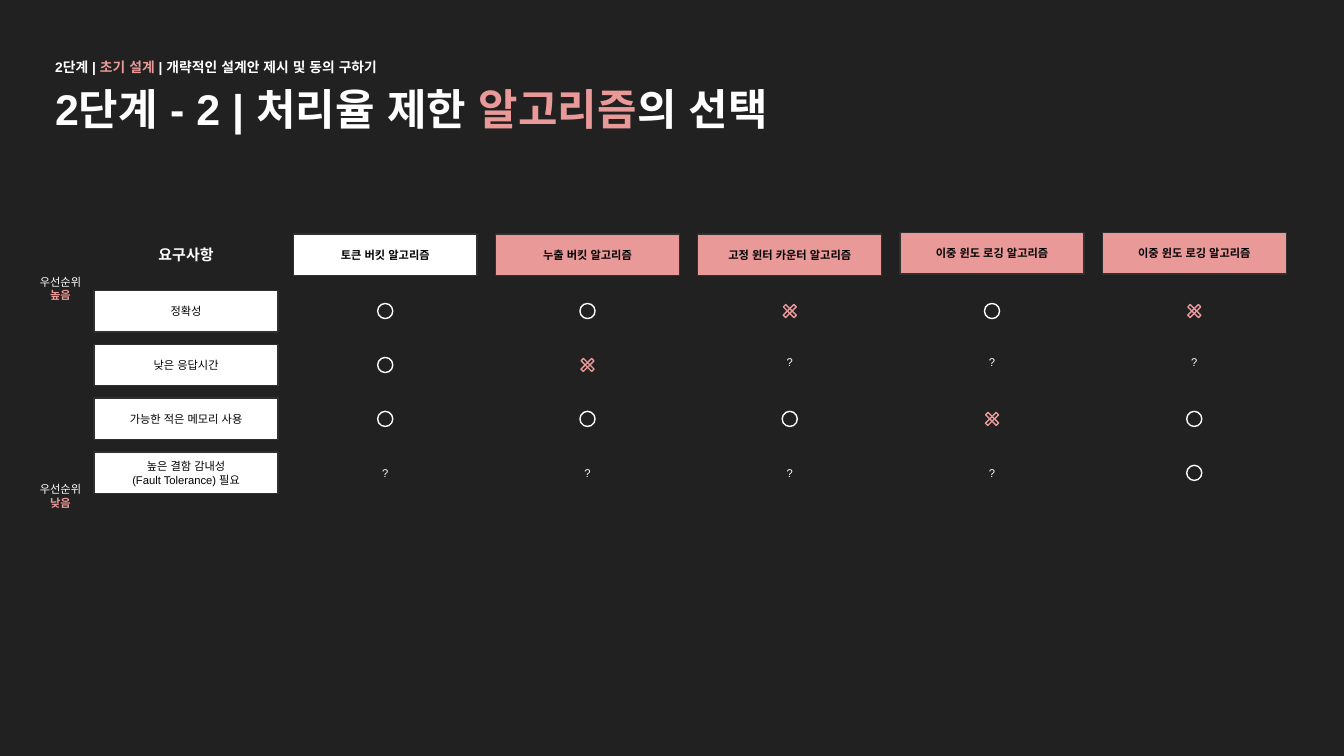
from lxml.etree import SubElement
from pptx import Presentation
from pptx.dml.color import RGBColor
from pptx.enum.shapes import MSO_SHAPE
from pptx.enum.text import MSO_ANCHOR, MSO_AUTO_SIZE, PP_ALIGN
from pptx.oxml.ns import qn
from pptx.util import Pt

BACKGROUND, WHITE, BLACK, PINK, BORDER = "212121", "FFFFFF", "000000", "EA9999", "303030"
LABEL_WIDTH, LABEL_HEIGHT = 98.6, 22.3
COLUMN_PITCH, ROW_PITCH = 108.35, 28.9
MARK_SIZE, BAR_WIDTH = 8.1, 1.8

ALGORITHMS = [
    ("토큰 버킷 알고리즘", WHITE, 0),
    ("누출 버킷 알고리즘", PINK, 0),
    ("고정 윈터 카운터 알고리즘", PINK, 0),
    ("이중 윈도 로깅 알고리즘", PINK, -0.8),
    ("이중 윈도 로깅 알고리즘", PINK, -0.8),
]
REQUIREMENTS = [
    ("정확성", "OOXOX", 0),
    ("낮은 응답시간", "OX???", -1.7),
    ("가능한 적은 메모리 사용", "OOOXO", 0),
    ("높은 결함 감내성\n(Fault Tolerance) 필요", "????O", 0),
]


def color(value):
    """Turn a hex string into a colour."""
    return RGBColor.from_string(value)


def write(shape, spans, size, align=PP_ALIGN.CENTER, anchor=MSO_ANCHOR.TOP):
    """Fill a shape with one paragraph of (text, colour, bold) spans."""
    frame = shape.text_frame
    frame.word_wrap = True
    frame.auto_size = MSO_AUTO_SIZE.NONE
    frame.vertical_anchor = anchor
    frame.margin_left = frame.margin_right = Pt(7.2)
    frame.margin_top = frame.margin_bottom = Pt(7.2)
    para = frame.paragraphs[0]
    para.alignment = align
    para.space_before = Pt(0)
    para.font.name = "Arial"
    para.font.size = Pt(size)
    properties = para.font._element if hasattr(para.font, "_element") else para._p.pPr.find(qn("a:defRPr"))
    SubElement(properties, qn("a:ea"), typeface="Arial")
    for text, tint, bold in spans:
        for index, line in enumerate(text.split("\n")):
            if index:
                para.add_line_break()
            if line:
                span = para.add_run()
                span.text = line
                span.font.color.rgb = color(tint)
                span.font.bold = bold
    return para


def place(shape, left, top, width, height):
    """Move a shape to a box given in points."""
    shape.left, shape.top, shape.width, shape.height = map(Pt, (left, top, width, height))


def add_text(page, left, top, width, height, spans, size=6, anchor=MSO_ANCHOR.TOP):
    """Add a centred text box."""
    box = page.shapes.add_textbox(Pt(left), Pt(top), Pt(width), Pt(height))
    write(box, spans, size, anchor=anchor)


def add_outline(shapes, kind, left, top, width, height, line, fill=None):
    """Add a thinly outlined shape, hollow unless a fill is given."""
    shape = shapes.add_shape(kind, Pt(left), Pt(top), Pt(width), Pt(height))
    shape.shadow.inherit = False
    shape.line.color.rgb = color(line)
    shape.line.width = Pt(0.75)
    if fill:
        shape.fill.solid()
        shape.fill.fore_color.rgb = color(fill)
    else:
        shape.fill.background()
    return shape


def add_label(page, left, top, text, fill, bold):
    """Add one filled label of the comparison grid."""
    label = add_outline(page.shapes, MSO_SHAPE.RECTANGLE, left, top, LABEL_WIDTH, LABEL_HEIGHT, BORDER, fill)
    write(label, [(text, BLACK, bold)], 6, anchor=MSO_ANCHOR.MIDDLE)


def add_mark(page, x, y, mark, question_shift):
    """Add a circle, cross or question mark centred on a point."""
    top = y - MARK_SIZE / 2
    if mark == "O":
        add_outline(page.shapes, MSO_SHAPE.OVAL, x - MARK_SIZE / 2, top, MARK_SIZE, MARK_SIZE, WHITE)
    elif mark == "X":
        cross = page.shapes.add_group_shape()
        for angle in (45, 135):
            bar = add_outline(cross.shapes, MSO_SHAPE.RECTANGLE, x - BAR_WIDTH / 2, top, BAR_WIDTH, MARK_SIZE, PINK)
            bar.rotation = angle
    else:
        add_text(page, x - 14.4, y - 12.2 + question_shift, 28.8, 24.4, [(mark, WHITE, False)],
                 anchor=MSO_ANCHOR.MIDDLE)


def add_heading(page, left, top, width):
    """Place the title and the line of steps above it."""
    title, steps = page.placeholders[0], page.placeholders[1]
    place(title, left, top + 12.4, width, 45.2)
    write(title, [("2단계 - 2 | 처리율 제한 ", WHITE, True), ("알고리즘", PINK, True),
                  ("의 선택", WHITE, True)], 23, PP_ALIGN.LEFT)
    place(steps, left, top, width, 22.3)
    para = write(steps, [("2단계 | ", WHITE, True), ("초기 설계 ", PINK, True),
                         ("| 개략적인 설계안 제시 및 동의 구하기", WHITE, True)], 7.4, PP_ALIGN.LEFT)
    properties = para._p.get_or_add_pPr()
    properties.set("marL", "0")
    properties.set("indent", "0")
    properties.insert_element_before(properties.makeelement(qn("a:buNone")), "a:tabLst", "a:defRPr", "a:extLst")


def add_priorities(page, left, top):
    """Place the notes on high and low priority."""
    for offset, level in ((0, "높음"), (111.2, "낮음")):
        add_text(page, left, top + offset, 51.8, 28.8,
                 [("우선순위\n", WHITE, False), (level, PINK, True)])


def add_comparison(page, left, top):
    """Place the grid of requirements against algorithms."""
    first_column, first_row = left + 106.7, top + 30.2
    add_text(page, left + 23.4, top - 0.8, 51.8, 24.5, [("요구사항", WHITE, True)], 8)
    for column, (name, fill, shift) in enumerate(ALGORITHMS):
        add_label(page, first_column + column * COLUMN_PITCH, top + shift, name, fill, True)
    for row, (name, marks, question_shift) in enumerate(REQUIREMENTS):
        y = first_row + row * ROW_PITCH
        add_label(page, left, y, name, WHITE, False)
        for column, mark in enumerate(marks):
            x = first_column + column * COLUMN_PITCH + LABEL_WIDTH / 2
            add_mark(page, x, y + LABEL_HEIGHT / 2, mark, question_shift)


def main():
    """Build the slide and save the deck."""
    deck = Presentation()
    deck.slide_width, deck.slide_height = Pt(720), Pt(405)
    page = deck.slides.add_slide(deck.slide_layouts[1])
    page.background.fill.solid()
    page.background.fill.fore_color.rgb = color(BACKGROUND)
    add_heading(page, 22.3, 24.5, 671)
    add_priorities(page, 6.5, 140.2)
    add_comparison(page, 50.4, 125.3)
    deck.save("out.pptx")


if __name__ == "__main__":
    main()
